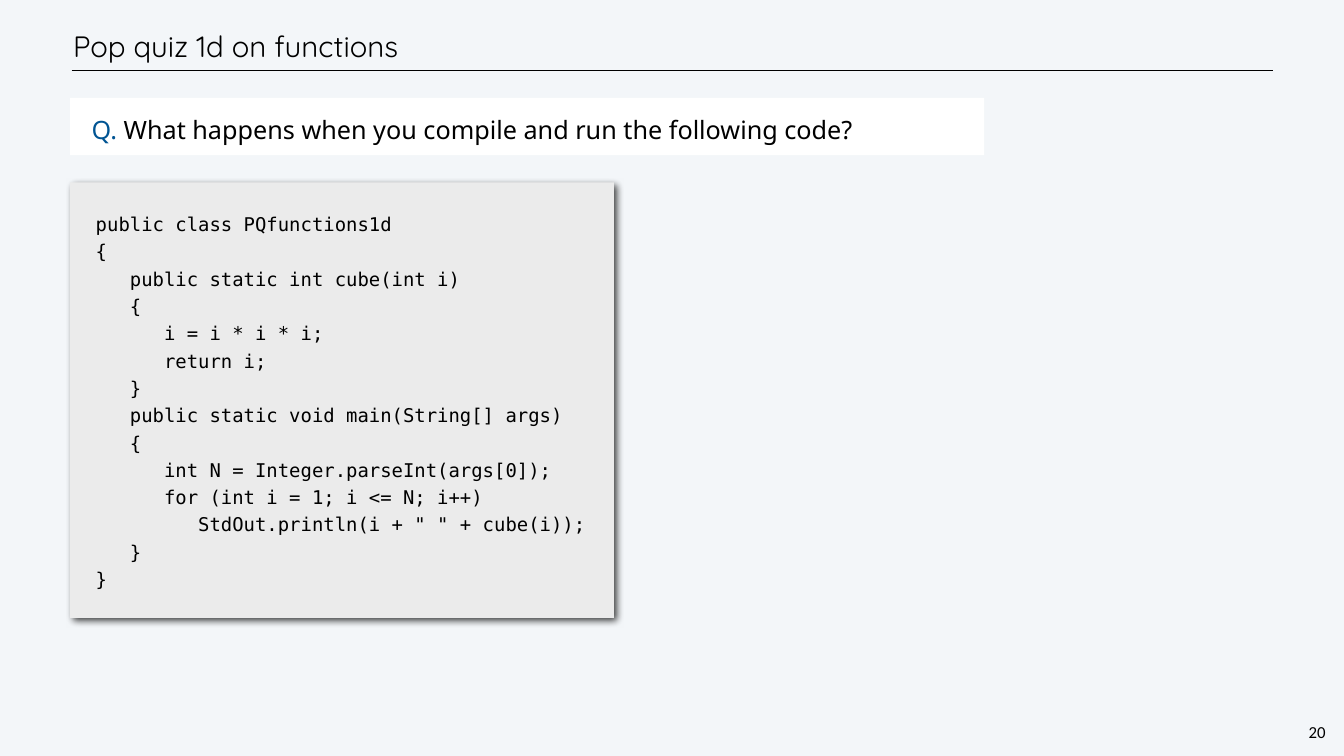
from lxml import etree
from pptx import Presentation
from pptx.dml.color import RGBColor
from pptx.enum.shapes import MSO_CONNECTOR, MSO_SHAPE
from pptx.enum.text import MSO_ANCHOR, PP_ALIGN
from pptx.oxml import parse_xml
from pptx.oxml.ns import nsdecls, qn
from pptx.util import Inches, Pt

RECTANGLE = MSO_SHAPE.RECTANGLE
STRAIGHT = MSO_CONNECTOR.STRAIGHT
TOP, MIDDLE = MSO_ANCHOR.TOP, MSO_ANCHOR.MIDDLE
LEFT, CENTER = PP_ALIGN.LEFT, PP_ALIGN.CENTER

BLACK = RGBColor(0x00, 0x00, 0x00)
WHITE = RGBColor(0xFF, 0xFF, 0xFF)
BLUE = RGBColor(0x00, 0x54, 0x93)
CODE_GRAY = RGBColor(0xEB, 0xEB, 0xEB)
PAGE_TINT = RGBColor(0xF3, 0xF6, 0xF9)

# Content
TITLE = "Pop quiz 1d on functions"
QUESTION = [("Q. ", BLUE),
            ("What happens when you compile and run the following code?", BLACK)]
PAGE_NUMBER = "20"
CODE = """\
public class PQfunctions1d
{
   public static int cube(int i)
   {
      i = i * i * i;
      return i;
   }
   public static void main(String[] args)
   {
      int N = Integer.parseInt(args[0]);
      for (int i = 1; i <= N; i++)
         StdOut.println(i + " " + cube(i));
   }
}"""

# Text formats: font, size and line spacing in points
TITLE_FONT = {"name": "Quicksand", "size": Pt(42), "bold": False}
QUESTION_FONT = {"name": "Noto Sans", "size": Pt(36)}
CODE_FONT = {"name": "DejaVu Sans Mono", "size": Pt(27)}
NUMBER_FONT = {"name": "Calibri", "size": Pt(24)}

MARGIN = 1.39


def write_text(shape, lines, font, spacing, inset, anchor=TOP, align=LEFT, wrap=True):
    """Fill a shape; each line is a list of (text, colour) spans."""
    frame = shape.text_frame
    frame.word_wrap = wrap
    frame.vertical_anchor = anchor
    for side in ("left", "top", "right", "bottom"):
        setattr(frame, f"margin_{side}", Inches(inset))
    for index, spans in enumerate(lines):
        para = frame.add_paragraph() if index else frame.paragraphs[0]
        para.alignment = align
        para.line_spacing = Pt(spacing)
        para.space_before = Pt(0)
        for text, color in spans:
            span = para.add_run()
            span.text = text
            for key, value in font.items():
                setattr(span.font, key, value)
            span.font.color.rgb = color


def add_panel(page, top, width, height, color):
    panel = page.shapes.add_shape(RECTANGLE, Inches(MARGIN), Inches(top),
                                  Inches(width), Inches(height))
    panel.shadow.inherit = False
    panel.fill.solid()
    panel.fill.fore_color.rgb = color
    panel.line.fill.background()
    return panel


def add_drop_shadow(shape):
    effects = shape._element.spPr.find(qn("a:effectLst"))
    effects.append(parse_xml(
        f'<a:outerShdw {nsdecls("a")} blurRad="{Pt(10)}" dist="{Pt(6)}" '
        'dir="2700000" algn="tl" rotWithShape="0">'
        '<a:srgbClr val="000000"><a:alpha val="75000"/></a:srgbClr></a:outerShdw>'))


def main():
    deck = Presentation()
    deck.slide_width, deck.slide_height = Inches(26.67), Inches(15)
    page = deck.slides.add_slide(deck.slide_layouts[5])
    page.background.fill.solid()
    page.background.fill.fore_color.rgb = PAGE_TINT

    # Title and rule
    title = page.shapes.title
    title.left, title.top = Inches(MARGIN), Inches(0.42)
    title.width, title.height = Inches(22.62), Inches(0.99)
    write_text(title, [[(TITLE, BLACK)]], TITLE_FONT, 50, 0.06, anchor=MIDDLE)
    rule = page.shapes.add_connector(STRAIGHT, Inches(1.42), Inches(1.4),
                                     Inches(25.27), Inches(1.4))
    rule.line.color.rgb = BLACK
    rule.line.width = Pt(1)
    etree.SubElement(rule._element.spPr, qn("a:effectLst"))

    # Question
    question = add_panel(page, 1.94, 18.14, 1.14, WHITE)
    write_text(question, [QUESTION], QUESTION_FONT, 43, 0.33)
    question.text_frame.paragraphs[0]._p.get_or_add_pPr().set("indent", str(Inches(0.1)))

    # Page number
    number = page.shapes.add_textbox(Inches(25.92), Inches(14.29), Inches(0.43), Inches(0.47))
    write_text(number, [[(PAGE_NUMBER, BLACK)]], NUMBER_FONT, 28, 0.04,
               align=CENTER, wrap=False)

    # Code listing
    listing = add_panel(page, 3.62, 10.79, 8.64, CODE_GRAY)
    add_drop_shadow(listing)
    write_text(listing, [[(line, BLACK)] for line in CODE.splitlines()], CODE_FONT, 39, 0.51)

    deck.save("out.pptx")


if __name__ == "__main__":
    main()
